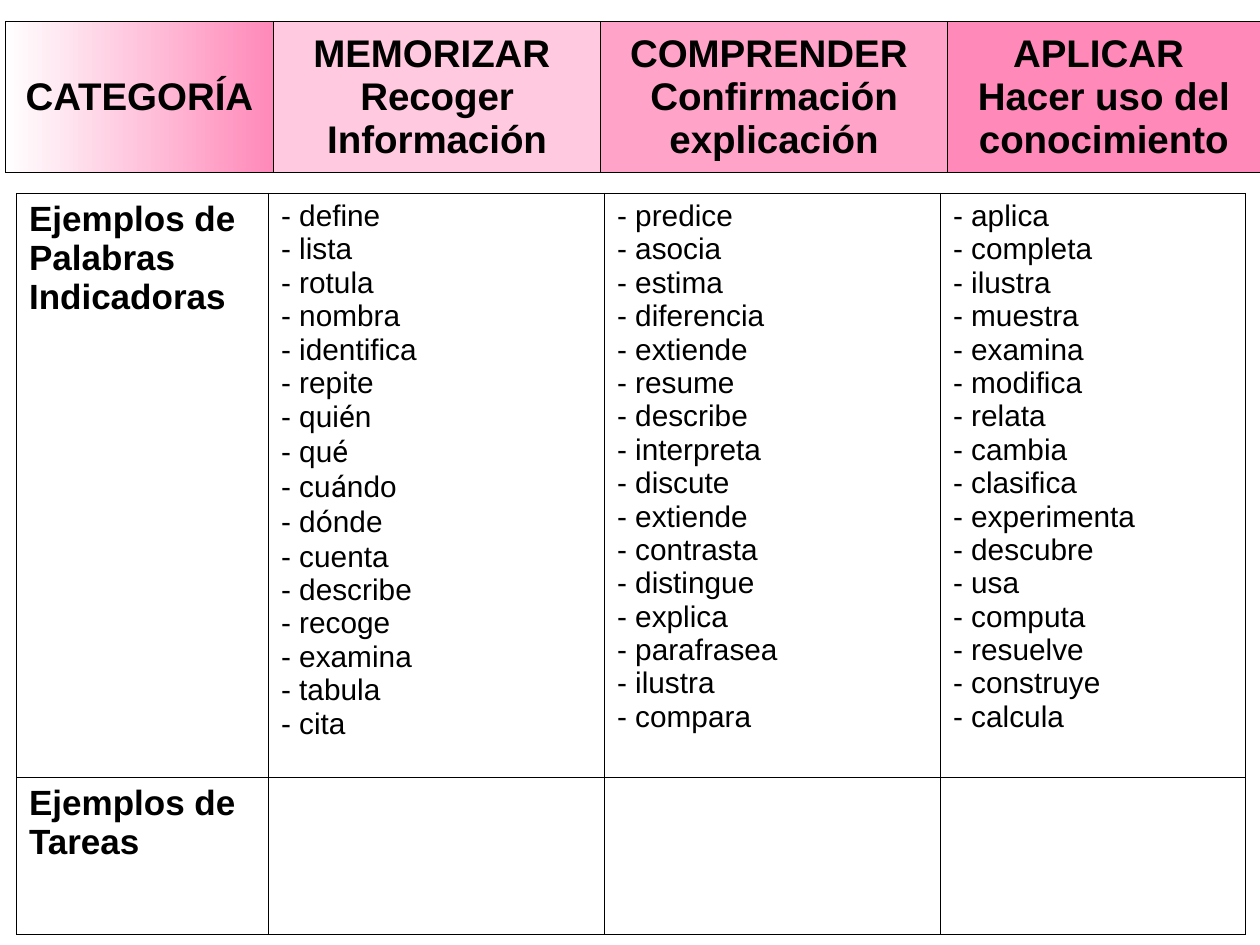
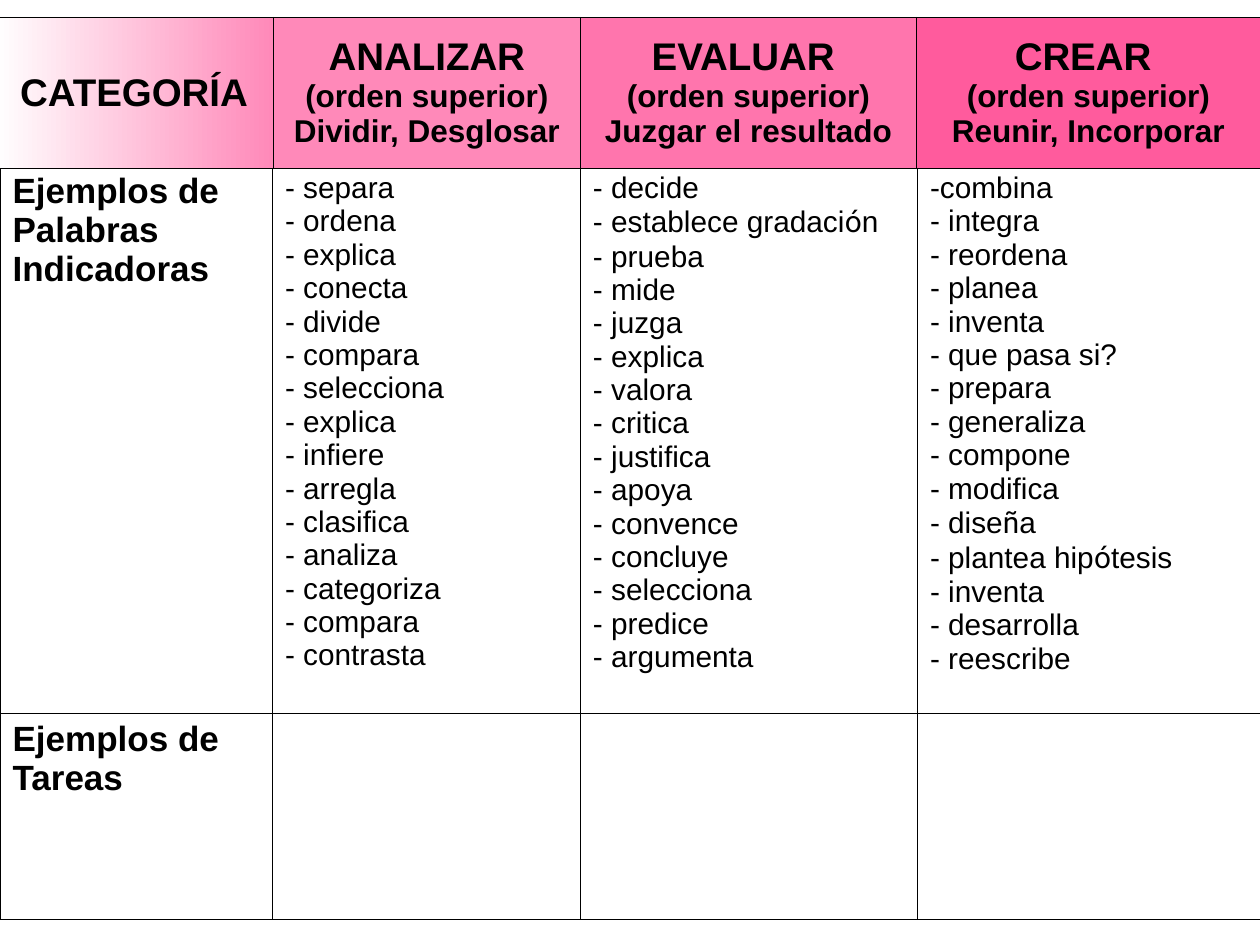
"""Build two slides of thinking categories with indicator words and tasks."""
from itertools import groupby

from lxml import etree
from pptx import Presentation
from pptx.dml.color import RGBColor
from pptx.enum import text
from pptx.oxml import ns
from pptx.util import Pt

COLOURS = {
    "ink": "000000",
    "paper": "FFFFFF",
    "memorizar": "FFC9DF",
    "comprender": "FFA3C8",
    "aplicar": "FF89B9",
    "analizar": "FF89B9",
    "evaluar": "FF75AD",
    "crear": "FF5B9D",
}
FONT, ACCENT_FONT = "Arial", "Roboto"
TITLE_SIZE, LABEL_SIZE, WORD_SIZE = 22, 20, 17
HEADER_HEIGHT = 86.4
ROW_LABELS = ["Ejemplos de Palabras Indicadoras", "Ejemplos de Tareas"]

SLIDES = [
    {
        "body": {"left": 9.4, "top": 110.4, "columns": [144, 192, 192, 174.4], "rows": [334, 89.8]},
        "header": {"left": 3, "top": 12.3, "columns": [153.3, 187, 198.2, 178.6]},
        "subtitle_size": 22,
        "categories": [
            ("memorizar", "MEMORIZAR ", "Recoger Información",
             "- define/- lista/- rotula/- nombra/- identifica/- repite/- quién/- qué/- cuándo/"
             "- dónde/- cuenta/- describe/- recoge/- examina/- tabula/- cita"),
            ("comprender", "COMPRENDER ", "Confirmación explicación",
             "- predice/- asocia/- estima/- diferencia/- extiende/- resume/- describe/"
             "- interpreta/- discute/- extiende/- contrasta/- distingue/- explica/"
             "- parafrasea/- ilustra/- compara"),
            ("aplicar", "APLICAR ", "Hacer uso del conocimiento",
             "- aplica/- completa/- ilustra/- muestra/- examina/- modifica/- relata/- cambia/"
             "- clasifica/- experimenta/- descubre/- usa/- computa/- resuelve/- construye/"
             "- calcula"),
        ],
    },
    {
        "body": {"left": 0, "top": 94.4, "columns": [155.7, 176, 192.6, 198.6], "rows": [313.3, 117.9]},
        "header": {"left": -3, "top": 9.8, "columns": [159.2, 175.5, 192, 196.6]},
        "subtitle_size": 18,
        "categories": [
            ("analizar", "ANALIZAR", "(orden superior) Dividir, Desglosar",
             "- separa/- ordena/- explica/- conecta/- divide/- compara/- selecciona/- explica/"
             "- infiere/- arregla/- clasifica/- analiza/- categoriza/- compara/- contrasta"),
            ("evaluar", "EVALUAR ", "(orden superior) Juzgar el resultado",
             "- decide/- establece gradación/- prueba/- mide/- juzga/- explica/- valora/"
             "- critica/- justifica/- apoya/- convence/- concluye/- selecciona/- predice/"
             "- argumenta"),
            ("crear", "CREAR ", "(orden superior) Reunir, Incorporar",
             "-combina/- integra/- reordena/- planea/- inventa/- que pasa si?/- prepara/"
             "- generaliza/- compone/- modifica/- diseña/- plantea hipótesis/- inventa/"
             "- desarrolla/- reescribe"),
        ],
    },
]


def add_grid(page, left, top, columns, rows, border):
    """Add a plain white table with thin black borders."""
    frame = page.shapes.add_table(len(rows), len(columns), Pt(left), Pt(top),
                                  Pt(sum(columns)), Pt(sum(rows)))
    grid = frame.table
    grid.first_row = grid.horz_banding = False
    for column, width in zip(grid.columns, columns):
        column.width = Pt(width)
    for row, height in zip(grid.rows, rows):
        row.height = Pt(height)
    for cell in grid.iter_cells():
        cell.fill.solid()
        cell.fill.fore_color.rgb = RGBColor.from_string(COLOURS["paper"])
        properties = cell._tc.get_or_add_tcPr()
        for position, side in enumerate(["lnL", "lnR", "lnT", "lnB"]):
            line = etree.Element(ns.qn(f"a:{side}"), w=str(Pt(border)))
            fill = etree.SubElement(line, ns.qn("a:solidFill"))
            etree.SubElement(fill, ns.qn("a:srgbClr"), val=COLOURS["ink"])
            properties.insert(position, line)
    return grid


def write(cell, lines, size, bold=True, accent_font=FONT, rest_size=None):
    """Write lines into one paragraph, with any differing font set on its runs."""
    para = cell.text_frame.paragraphs[0]
    para.font.name, para.font.size, para.font.bold = FONT, Pt(size), bold
    para.font.color.rgb = RGBColor.from_string(COLOURS["ink"])
    for index, line in enumerate(lines):
        if index:
            para.add_line_break()
        pieces = groupby(line, lambda letter: accent_font == FONT or letter.isascii())
        for plain, letters in pieces:
            span = para.add_run()
            span.text = "".join(letters)
            if not plain:
                span.font.name = accent_font
            if index and rest_size not in (None, size):
                span.font.size = Pt(rest_size)
    return para


deck = Presentation()
deck.slide_width, deck.slide_height = Pt(720), Pt(540)

for content in SLIDES:
    page = deck.slides.add_slide(deck.slide_layouts[6])
    body = add_grid(page, **content["body"], border=0.45)
    header = add_grid(page, **content["header"], rows=[HEADER_HEIGHT], border=0.34)

    for row, label in enumerate(ROW_LABELS):
        write(body.cell(row, 0), [label], LABEL_SIZE)

    corner = header.cell(0, 0)
    write(corner, ["CATEGORÍA"], TITLE_SIZE)
    corner.fill.gradient()
    corner.fill.gradient_angle = 0
    for stop, place, name in zip(corner.fill.gradient_stops, [0, 1], ["paper", "aplicar"]):
        stop.position = place
        stop.color.rgb = RGBColor.from_string(COLOURS[name])

    for column, (name, title, subtitle, words) in enumerate(content["categories"], start=1):
        heading = header.cell(0, column)
        heading.fill.fore_color.rgb = RGBColor.from_string(COLOURS[name])
        write(heading, [title, subtitle], TITLE_SIZE, rest_size=content["subtitle_size"])
        write(body.cell(0, column), words.split("/"), WORD_SIZE, bold=False,
              accent_font=ACCENT_FONT)

    for cell in header.iter_cells():
        cell.vertical_anchor = text.MSO_ANCHOR.MIDDLE
        cell.text_frame.paragraphs[0].alignment = text.PP_ALIGN.CENTER

deck.save("out.pptx")
